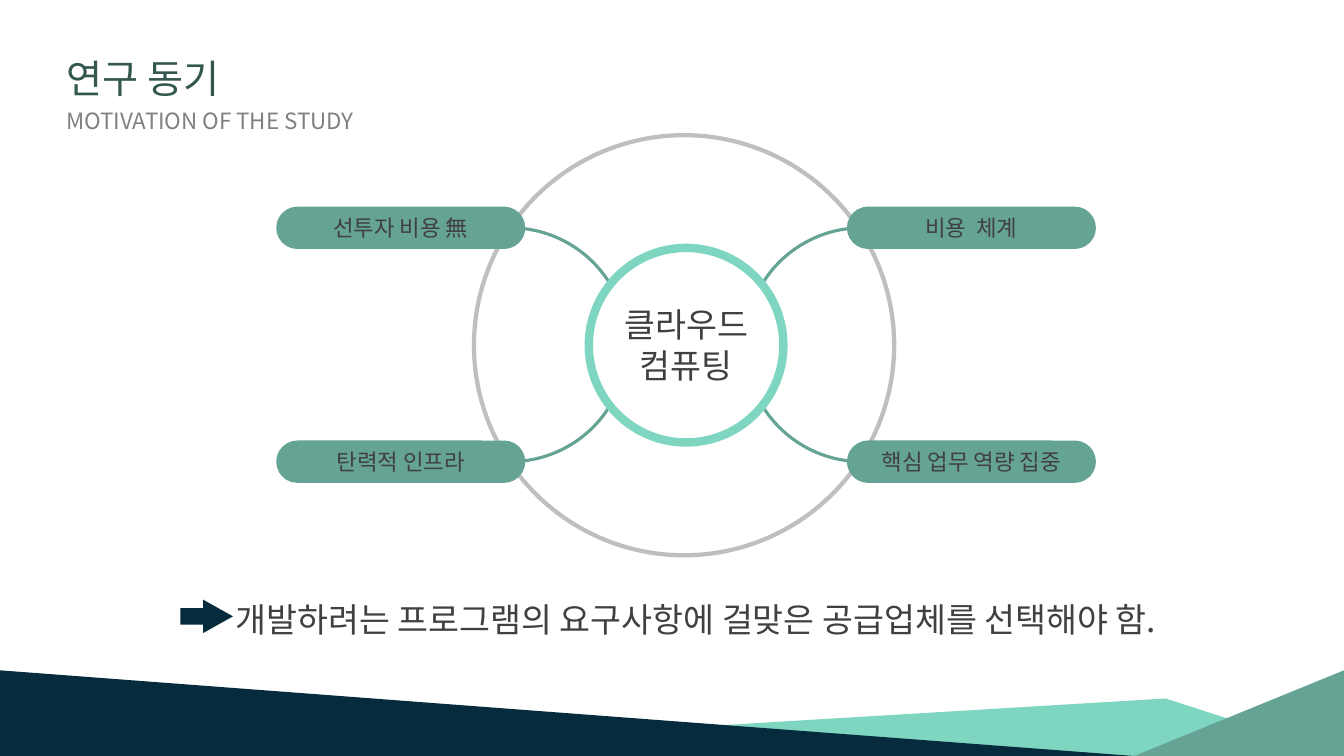
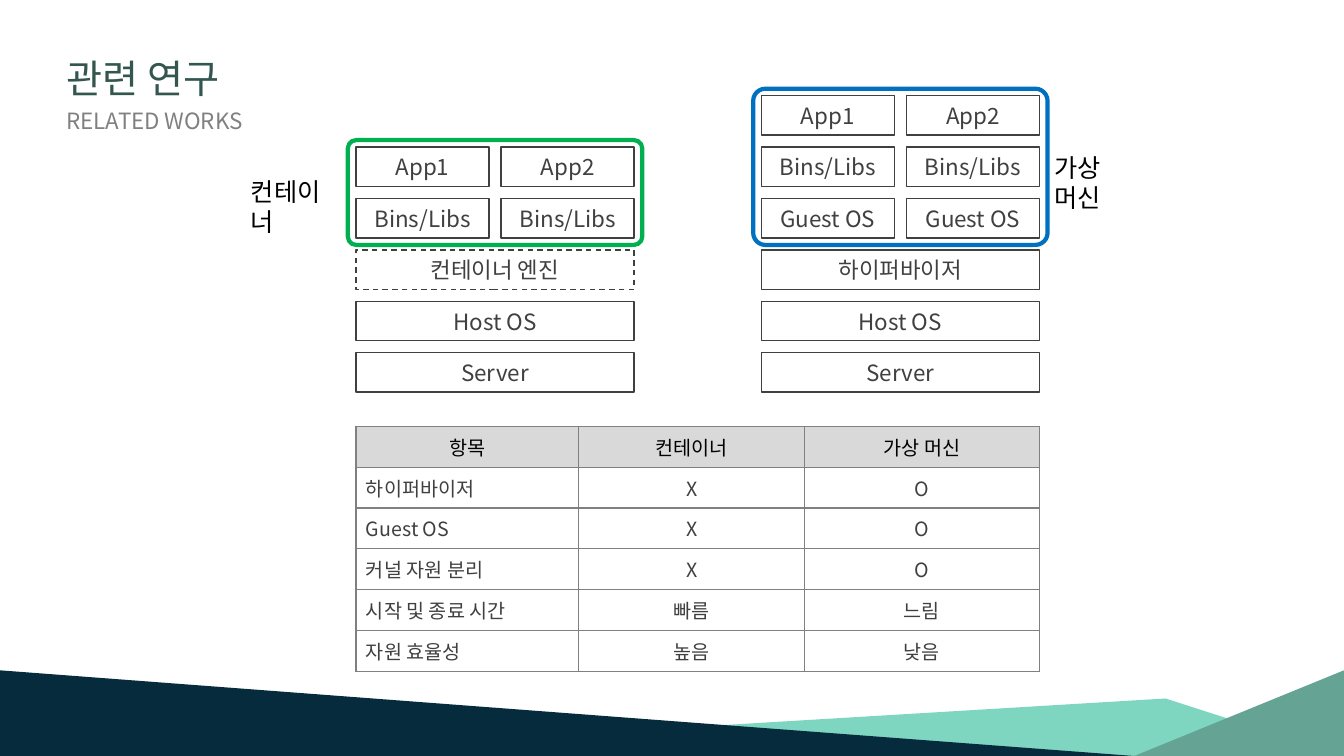
from lxml import etree
from pptx import Presentation
from pptx.dml.color import RGBColor
from pptx.enum.dml import MSO_LINE
from pptx.enum.shapes import MSO_SHAPE
from pptx.enum.text import MSO_ANCHOR, PP_ALIGN
from pptx.oxml.ns import qn
from pptx.util import Pt

EMU_PER_PX = 9144
SLIDE_WIDTH, SLIDE_HEIGHT = 1333, 750
FONT = "Noto Sans CJK KR"
COLORS = {
    "navy": "052B3D", "mint": "7ED6C1", "sage": "65A395", "title": "33574F",
    "subtitle": "808080", "text": "404040", "black": "000000", "white": "FFFFFF",
    "ring": "BFBFBF", "header": "D9D9D9", "border": "808080",
    "blue": "0070C0", "green": "00B050",
}
LEFT, CENTER = PP_ALIGN.LEFT, PP_ALIGN.CENTER
TOP, MIDDLE, BOTTOM = MSO_ANCHOR.TOP, MSO_ANCHOR.MIDDLE, MSO_ANCHOR.BOTTOM
RECTANGLE, ROUNDED = MSO_SHAPE.RECTANGLE, MSO_SHAPE.ROUNDED_RECTANGLE
TRIANGLE, ARC, DONUT = MSO_SHAPE.RIGHT_TRIANGLE, MSO_SHAPE.ARC, MSO_SHAPE.DONUT
OVAL, RIGHT_ARROW = MSO_SHAPE.OVAL, MSO_SHAPE.RIGHT_ARROW
DASH = MSO_LINE.DASH

PILL_WIDTH, PILL_HEIGHT = 247, 42
ARC_RADIUS = 116
QUARTER_UP, QUARTER_DOWN = 162, 54
BOX_HEIGHT, ROW_PITCH, COLUMN_GAP, STACK_WIDTH = 39, 51, 12, 276
STACK_BOTTOM = 401


def px(*lengths):
    return [length * EMU_PER_PX for length in lengths]


def rgb(color):
    return RGBColor.from_string(COLORS[color])


def write(frame, text, *, size=16, color="text", align=LEFT, spacing=None, before=None):
    frame.word_wrap = True
    for index, line in enumerate(text.split("\n")):
        paragraph = frame.add_paragraph() if index else frame.paragraphs[0]
        paragraph.alignment = align
        if spacing:
            paragraph.line_spacing = spacing
        if before:
            paragraph.space_before = Pt(before)
        run = paragraph.add_run()
        run.text = line
        run.font.size = Pt(size)
        run.font.color.rgb = rgb(color)
        run.font.name = FONT
        etree.SubElement(run.font._element, qn("a:ea"), typeface=FONT)


def add_text(slide, box, text, anchor=TOP, **text_format):
    frame = slide.shapes.add_textbox(*px(*box)).text_frame
    frame.vertical_anchor = anchor
    write(frame, text, **text_format)


def paint(shape, fill=None, line=None, width=1, dash=None):
    shape.shadow.inherit = False
    if fill:
        shape.fill.solid()
        shape.fill.fore_color.rgb = rgb(fill)
    else:
        shape.fill.background()
    if line:
        shape.line.color.rgb = rgb(line)
        shape.line.width = Pt(width)
        if dash:
            shape.line.dash_style = dash
    else:
        shape.line.fill.background()


def add_figure(slide, kind, box, text="", adjust=(), **paint_format):
    shape = slide.shapes.add_shape(kind, *px(*box))
    for index, value in enumerate(adjust):
        shape.adjustments[index] = value
    paint(shape, **paint_format)
    if text:
        shape.text_frame.vertical_anchor = MIDDLE
        write(shape.text_frame, text, align=CENTER)
    return shape


def add_footer(slide):
    builder = slide.shapes.build_freeform(1156, 693, scale=EMU_PER_PX)
    builder.add_line_segments([(SLIDE_WIDTH, SLIDE_HEIGHT), (208, SLIDE_HEIGHT)])
    paint(builder.convert_to_shape(), fill="mint")
    add_figure(slide, TRIANGLE, (0, 665, 1125, 85), fill="navy")
    corner = add_figure(slide, TRIANGLE, (1125, 665, 208, 85), fill="sage")
    corner._element.spPr.get_or_add_xfrm().set("flipH", "1")


def add_slide(presentation, title, subtitle):
    slide = presentation.slides.add_slide(presentation.slide_layouts[6])
    add_footer(slide)
    add_text(slide, (56, 54, 687, 51), title, BOTTOM, size=28, color="title", spacing=0.8)
    add_text(slide, (56, 104, 437, 28), subtitle, color="subtitle", spacing=0.9, before=10)
    return slide


def add_benefit_wheel(slide, hub, benefits):
    add_figure(slide, DONUT, (468, 132, 421, 421), adjust=[0.01], fill="ring")
    for index, benefit in enumerate(benefits):
        row, column = divmod(index, 2)
        box = (274 + 566 * column, 205 + 232 * row, PILL_WIDTH, PILL_HEIGHT)
        add_figure(slide, ROUNDED, box, benefit, adjust=[0.5], fill="sage")
    for center, angles in ((506, (QUARTER_UP, QUARTER_DOWN)),
                           (855, (QUARTER_DOWN, QUARTER_UP))):
        box = (center - ARC_RADIUS, 226, 2 * ARC_RADIUS, 2 * ARC_RADIUS)
        add_figure(slide, ARC, box, adjust=angles, line="sage", width=2.25)
    add_figure(slide, OVAL, (584, 246, 193, 193), fill="white", line="mint", width=6)
    add_text(slide, (609, 297, 143, 91), hub, size=24, align=CENTER)


def add_stack(slide, left, rows, framed, frame_color, dashed=()):
    top = STACK_BOTTOM - len(rows) * ROW_PITCH
    for index, row in enumerate(rows):
        width = (STACK_WIDTH - COLUMN_GAP * (len(row) - 1)) // len(row)
        for column, label in enumerate(row):
            box = (left + column * (width + COLUMN_GAP), top + index * ROW_PITCH,
                   width, BOX_HEIGHT)
            add_figure(slide, RECTANGLE, box, label, line="text",
                       dash=DASH if label in dashed else None)
    frame = (left - 8, top - 7, STACK_WIDTH + 16, framed * ROW_PITCH + 2)
    add_figure(slide, ROUNDED, frame, adjust=[0.078], line=frame_color, width=3)


def set_borders(cell, color, width):
    properties = cell._tc.get_or_add_tcPr()
    for side in ("a:lnL", "a:lnR", "a:lnT", "a:lnB"):
        line = etree.SubElement(properties, qn(side), w=str(Pt(width)))
        fill = etree.SubElement(line, qn("a:solidFill"))
        etree.SubElement(fill, qn("a:srgbClr"), val=COLORS[color])


def add_comparison(slide, left, top, widths, height, rows):
    shape = slide.shapes.add_table(len(rows), len(widths),
                                   *px(left, top, sum(widths), height))
    table = shape.table
    table.first_row = table.horz_banding = False
    for column, width in zip(table.columns, px(*widths)):
        column.width = width
    for row_index, row in enumerate(rows):
        table.rows[row_index].height = px(height)[0] // len(rows)
        is_header = row_index == 0
        for column_index, text in enumerate(row):
            cell = table.cell(row_index, column_index)
            cell.vertical_anchor = MIDDLE
            set_borders(cell, "border", 1)
            if is_header:
                cell.fill.solid()
                cell.fill.fore_color.rgb = rgb("header")
            else:
                cell.fill.background()
            write(cell.text_frame, text, size=14, color="black" if is_header else "text",
                  align=CENTER if is_header or column_index else LEFT)


def build_motivation(presentation):
    slide = add_slide(presentation, "연구 동기", "MOTIVATION OF THE STUDY")
    add_benefit_wheel(slide, "클라우드\n컴퓨팅",
                      ["선투자 비용 無", "비용  체계", "탄력적 인프라", "핵심 업무 역량 집중"])
    add_text(slide, (203, 577, 974, 63),
             "개발하려는 프로그램의 요구사항에 걸맞은 공급업체를 선택해야 함.",
             size=24, align=CENTER, spacing=1.3)
    add_figure(slide, RIGHT_ARROW, (179, 595, 52, 33), adjust=[0.5, 0.893], fill="navy")


def build_related_works(presentation):
    slide = add_slide(presentation, "관련 연구", "RELATED WORKS")
    apps = [("App1", "App2"), ("Bins/Libs", "Bins/Libs")]
    base = [("Host OS",), ("Server",)]
    add_stack(slide, 353, apps + [("컨테이너 엔진",)] + base, 2, "green",
              dashed=("컨테이너 엔진",))
    add_stack(slide, 755, apps + [("Guest OS", "Guest OS"), ("하이퍼바이저",)] + base,
              3, "blue")
    add_text(slide, (239, 170, 109, 40), "컨테이너", size=18, color="black")
    add_text(slide, (1036, 146, 116, 40), "가상 머신", size=18, color="black")
    add_comparison(slide, 353, 423, (221, 224, 233), 243, [
        ("항목", "컨테이너", "가상 머신"),
        ("하이퍼바이저", "X", "O"),
        ("Guest OS", "X", "O"),
        ("커널 자원 분리", "X", "O"),
        ("시작 및 종료 시간", "빠름", "느림"),
        ("자원 효율성", "높음", "낮음"),
    ])


def main():
    presentation = Presentation()
    presentation.slide_width, presentation.slide_height = px(SLIDE_WIDTH, SLIDE_HEIGHT)
    build_motivation(presentation)
    build_related_works(presentation)
    presentation.save("out.pptx")


if __name__ == "__main__":
    main()
